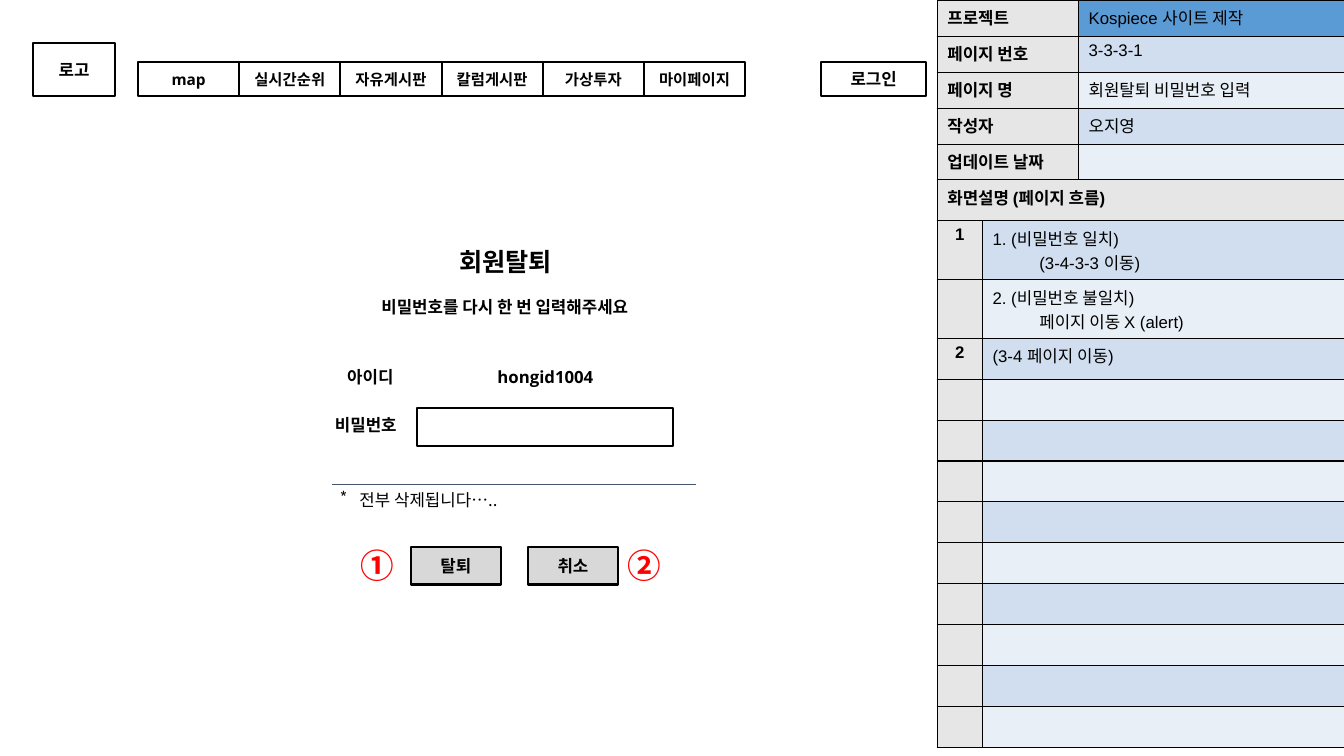
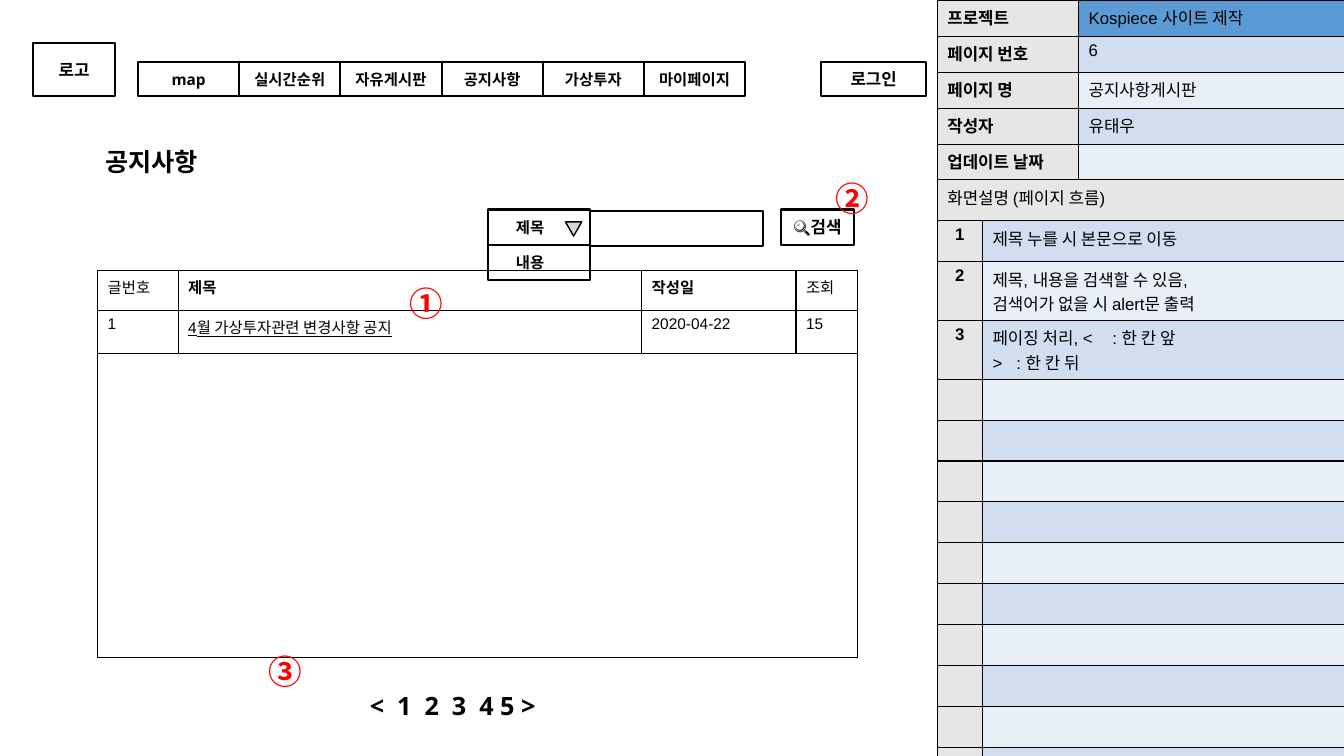
"""Build two storyboard pages of a stock site: account removal and notice board."""
from dataclasses import dataclass
from itertools import accumulate
from typing import NamedTuple

from lxml.etree import SubElement as Sub
from pptx import Presentation as Deck
from pptx.dml.color import RGBColor as Rgb
from pptx.enum.shapes import MSO_CONNECTOR as Link, MSO_SHAPE as Kind
from pptx.enum.text import MSO_ANCHOR as Anchor, PP_ALIGN as Align
from pptx.oxml.ns import qn
from pptx.util import Cm, Pt

HUES = {
    "ink": "000000", "white": "FFFFFF", "gray": "E7E6E6", "blue": "5B9BD5",
    "mid": "D0DEEF", "pale": "E9EFF7", "key": "D8D8D8", "red": "FF0000",
    "rule": "44546A",
}
CJK = "Noto Sans CJK KR"


@dataclass
class Look:
    size: int = 12
    bold: bool = False
    font: str = "Arial"
    hue: str = "ink"
    align: Align = Align.LEFT
    under: bool = False
    tabs: tuple[float, ...] = ()


@dataclass
class Label:
    text: str
    x: float
    y: float
    w: float
    h: float = 0.94
    size: int = 12
    box: bool = False
    fill: str = ""
    pad: float = 0.1
    align: Align = Align.CENTER
    tabs: tuple[float, ...] = ()


class Mark(NamedTuple):
    text: str
    x: float
    y: float


class Cell(NamedTuple):
    text: str
    fill: str
    look: Look


class Page(NamedTuple):
    info: list[str]
    flow: list[tuple[str, str]]
    rows: int
    bold: bool
    tabs: tuple[float, ...]
    menu: list[str]
    labels: list[Label]
    marks: list[Mark]


def color(name: str) -> Rgb:
    return Rgb.from_string(HUES[name])


def style(frame, look: Look) -> None:
    for par in frame.paragraphs:
        par.alignment = look.align
        if look.tabs:
            stops = Sub(par._p.get_or_add_pPr(), qn("a:tabLst"))
            for stop in look.tabs:
                Sub(stops, qn("a:tab"), pos=str(int(Cm(stop))), algn="l")
        for run in par.runs:
            font = run.font
            font.size, font.bold, font.name = Pt(look.size), look.bold, look.font
            font.underline = look.under
            font.color.rgb = color(look.hue)
            Sub(run._r.get_or_add_rPr(), qn("a:ea"), typeface=CJK)
        if not par.runs:
            Sub(par._p, qn("a:endParaRPr"), sz=str(look.size * 100))


def paint(shape, fill: str, width: float) -> None:
    shape.shadow.inherit = False
    if fill:
        shape.fill.solid()
        shape.fill.fore_color.rgb = color(fill)
    else:
        shape.fill.background()
    shape.line.color.rgb = color("ink")
    shape.line.width = Pt(width)


def label(slide, item: Label) -> None:
    area = [Cm(n) for n in (item.x, item.y, item.w, item.h)]
    if item.box:
        shape = slide.shapes.add_shape(Kind.RECTANGLE, *area)
        paint(shape, item.fill, 1.5)
    else:
        shape = slide.shapes.add_textbox(*area)
    frame = shape.text_frame
    frame.word_wrap = True
    frame.vertical_anchor = Anchor.MIDDLE
    frame.margin_left = Cm(item.pad)
    frame.margin_right = Cm(0.1)
    frame.text = item.text
    style(frame, Look(item.size, True, "Open Sans", align=item.align, tabs=item.tabs))


def mark(slide, item: Mark) -> None:
    box = slide.shapes.add_textbox(Cm(item.x), Cm(item.y), Cm(1.52), Cm(1.27))
    box.text_frame.word_wrap = True
    box.text_frame.text = item.text
    style(box.text_frame, Look(24, True, CJK, "red"))


def border(cell) -> None:
    props = cell._tc.get_or_add_tcPr()
    for side in ("lnL", "lnR", "lnT", "lnB"):
        line = Sub(props, qn(f"a:{side}"), w=str(int(Pt(1))))
        Sub(Sub(line, qn("a:solidFill")), qn("a:srgbClr"), val=HUES["ink"])


def grid(slide, x: float, y: float, cols: list[float], rows: list[float],
         cells: list[list[Cell]]) -> None:
    table = slide.shapes.add_table(
        len(rows), len(cols), Cm(x), Cm(y), Cm(sum(cols)), Cm(sum(rows))).table
    table.first_row = table.horz_banding = False
    for col, width in zip(table.columns, cols):
        col.width = Cm(width)
    for row, height in zip(table.rows, rows):
        row.height = Cm(height)
    for i, line in enumerate(cells):
        for j in range(len(cols)):
            item = line[min(j, len(line) - 1)]
            cell = table.cell(i, j)
            border(cell)
            cell.fill.solid()
            cell.fill.fore_color.rgb = color(item.fill)
            if j < len(line):
                cell.text_frame.text = item.text
            style(cell.text_frame, item.look)
        if len(line) < len(cols):
            table.cell(i, 0).merge(table.cell(i, len(cols) - 1))


def band(i: int) -> str:
    return "mid" if i % 2 else "pale"


def panel(slide, page: Page) -> None:
    heads = ["프로젝트", "페이지 번호", "페이지 명", "작성자", "업데이트 날짜"]
    info = [[Cell(head, "gray", Look(bold=True)),
             Cell(text, band(i) if i else "blue", Look())]
            for i, (head, text) in enumerate(zip(heads, page.info))]
    grid(slide, 23.62, 0, [3.56, 6.7], [0.91] * len(info), info)
    blank = [("", "")] * (page.rows - len(page.flow))
    flow = [[Cell("화면설명 (페이지 흐름)", "gray", Look(bold=page.bold))]]
    for i, (num, text) in enumerate(page.flow + blank, 1):
        flow.append([Cell(num, "gray", Look(bold=True, align=Align.CENTER)),
                     Cell(text, band(i), Look(tabs=page.tabs))])
    grid(slide, 23.62, 4.53, [1.14, 9.12], [1.03] * len(flow), flow)


def fill_in(slide, page: Page) -> None:
    panel(slide, page)
    label(slide, Label("로고", 0.84, 1.09, 2.06, 1.32, box=True))
    label(slide, Label("로그인", 20.7, 1.57, 2.64, 0.84, box=True))
    for i, text in enumerate(page.menu):
        label(slide, Label(text, 3.48 + 2.55 * i, 1.57, 2.55, 0.84, 11, True))
    for item in page.labels:
        label(slide, item)
    for item in page.marks:
        mark(slide, item)


def note(slide) -> None:
    box = slide.shapes.add_textbox(Cm(8.33), Cm(12.22), Cm(9.22), Cm(1.27))
    frame = box.text_frame
    frame.word_wrap = True
    frame.text = "전부 삭제됩니다….."
    props = frame.paragraphs[0]._p.get_or_add_pPr()
    props.set("marL", str(int(Cm(0.48))))
    props.set("indent", str(int(Cm(-0.48))))
    Sub(props, qn("a:buChar"), char="*")
    style(frame, Look(font=CJK))
    rule = slide.shapes.add_connector(
        Link.STRAIGHT, Cm(8.36), Cm(12.2), Cm(17.55), Cm(12.2))
    rule.line.color.rgb = color("rule")
    rule.line.width = Pt(0.75)
    Sub(rule._element.spPr, qn("a:effectLst"))


def board(slide) -> None:
    plain, bold = Look(11), Look(11, True)
    heads = [("글번호", plain), ("제목", bold), ("작성일", bold), ("조회", plain)]
    post = [("1", plain), ("4월 가상투자관련 변경사항 공지", Look(11, under=True)),
            ("2020-04-22", plain), ("15", plain)]
    cells = [[Cell(text, "white", look) for text, look in line]
             for line in (heads, post, [("", plain)])]
    grid(slide, 2.46, 6.81, [2.03, 11.68, 3.89, 1.55], [1.02, 1.07, 7.67], cells)


def arrow(slide) -> None:
    shape = slide.shapes.add_shape(
        Kind.ISOSCELES_TRIANGLE, Cm(14.25), Cm(5.59), Cm(0.41), Cm(0.36))
    shape.rotation = 180
    paint(shape, "key", 1)


def main() -> None:
    deck = Deck()
    deck.slide_width, deck.slide_height = Cm(33.87), Cm(19.05)
    leave = Page(
        ["Kospiece 사이트 제작", "3-3-3-1", "회원탈퇴 비밀번호 입력", "오지영", ""],
        [("1", "1. (비밀번호 일치)\n\t(3-4-3-3 이동)"),
         ("", "2. (비밀번호 불일치)\n\t페이지 이동 X (alert)"),
         ("2", "(3-4 페이지 이동)")],
        12, True, (1.18,),
        ["map", "실시간순위", "자유게시판", "칼럼게시판", "가상투자", "마이페이지"],
        [Label("회원탈퇴", 10.44, 6.12, 4.6, size=18),
         Label("비밀번호를 다시 한 번 입력해주세요", 7.34, 7.26, 10.77),
         Label("아이디", 8.28, 9.02, 2.11),
         Label("hongid1004", 10.52, 9.02, 6.45),
         Label("비밀번호", 7.9, 10.24, 2.64),
         Label("", 10.52, 10.29, 6.45, box=True),
         Label("탈퇴", 10.36, 13.79, 2.26, box=True, fill="key"),
         Label("취소", 13.31, 13.79, 2.26, box=True, fill="key")],
        [Mark("①", 8.84, 13.61), Mark("②", 15.57, 13.61)])
    drop = [Label(text, 12.29, 5.28 + 0.89 * i, 2.59, 0.89, 11, True,
                  pad=0.71, align=Align.LEFT)
            for i, text in enumerate(["제목", "내용"])]
    stops = tuple(accumulate([0.69] * 4))
    news = Page(
        ["Kospiece 사이트 제작", "6", "공지사항게시판", "유태우", ""],
        [("1", "제목 누를 시 본문으로 이동"),
         ("2", "제목, 내용을 검색할 수 있음,\n검색어가 없을 시 alert문 출력"),
         ("3", "페이징 처리, <\t: 한 칸 앞\n>\t: 한 칸 뒤")],
        13, False, (0.6, 3.02),
        ["map", "실시간순위", "자유게시판", "공지사항", "가상투자", "마이페이지"],
        [Label("공지사항", 1.52, 3.61, 4.6, size=18),
         Label("🔍검색", 19.69, 5.28, 1.83, 0.89, box=True),
         Label("", 14.88, 5.31, 4.34, 0.89, box=True),
         Label("<\t1\t2\t3\t4 5 >", 9.22, 17.3, 5, size=18,
               align=Align.LEFT, tabs=stops),
         *drop],
        [Mark("①", 10.08, 7.01), Mark("②", 20.8, 4.37), Mark("③", 6.53, 16.28)])
    first, second = (deck.slides.add_slide(deck.slide_layouts[6]) for _ in range(2))
    fill_in(first, leave)
    note(first)
    board(second)
    fill_in(second, news)
    arrow(second)
    deck.save("out.pptx")


if __name__ == "__main__":
    main()
